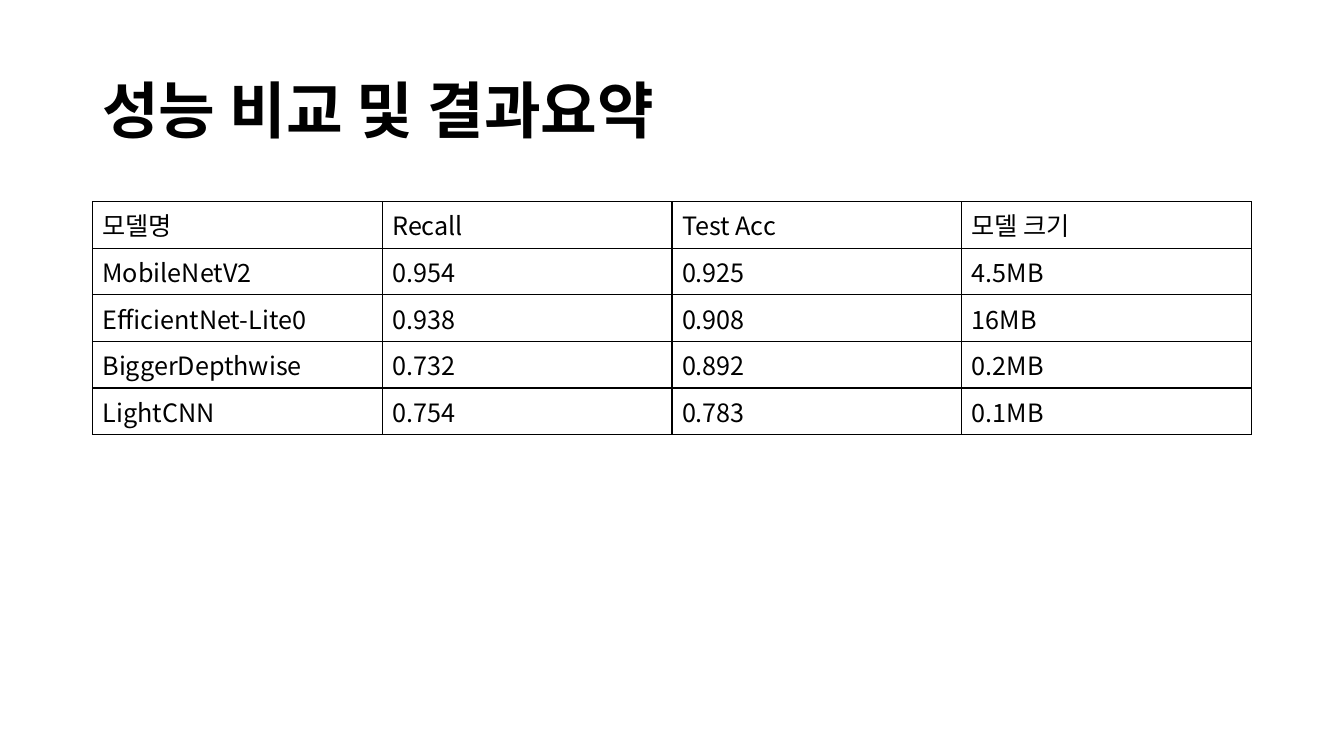
import lxml.etree
import pptx
import pptx.dml.color
import pptx.enum.text
import pptx.oxml.ns
import pptx.util

Cm = pptx.util.Cm
Pt = pptx.util.Pt
BLACK = pptx.dml.color.RGBColor(0x00, 0x00, 0x00)
FONT = "Noto Sans CJK KR"
MIDDLE = pptx.enum.text.MSO_ANCHOR.MIDDLE

TITLE_FORMAT = {"name": FONT, "size": Pt(44), "bold": True}
CELL_FORMAT = {"name": FONT, "size": Pt(18), "bold": False}

TITLE = "성능 비교 및 결과요약"
RESULTS = [
    ["모델명", "Recall", "Test Acc", "모델 크기"],
    ["MobileNetV2", "0.954", "0.925", "4.5MB"],
    ["EfficientNet-Lite0", "0.938", "0.908", "16MB"],
    ["BiggerDepthwise", "0.732", "0.892", "0.2MB"],
    ["LightCNN", "0.754", "0.783", "0.1MB"],
]


def add_xml(parent, tag, **attributes):
    return lxml.etree.SubElement(parent, pptx.oxml.ns.qn(tag), attributes)


def write(para, text, font_format):
    span = para.add_run()
    span.text = text
    for name, value in font_format.items():
        setattr(span.font, name, value)
    span.font.color.rgb = BLACK


def add_title(page, left, top, width, height):
    box = page.shapes.add_textbox(left, top, width, height)
    box.text_frame.word_wrap = True
    box.text_frame.vertical_anchor = MIDDLE
    para = box.text_frame.paragraphs[0]
    para.line_spacing = 0.9
    write(para, TITLE, TITLE_FORMAT)


def add_borders(cell):
    properties = cell._tc.get_or_add_tcPr()
    for side in "LRTB":
        line = add_xml(properties, f"a:ln{side}", w=str(Pt(1)))
        fill = add_xml(line, "a:solidFill")
        add_xml(fill, "a:srgbClr", val=str(BLACK))


def add_results_table(page, left, top, width, height):
    frame = page.shapes.add_table(
        len(RESULTS), len(RESULTS[0]), left, top, width, height
    )
    table = frame.table
    table.first_row = False
    table.horz_banding = False
    for row, texts in enumerate(RESULTS):
        for column, text in enumerate(texts):
            cell = table.cell(row, column)
            cell.vertical_anchor = MIDDLE
            add_borders(cell)
            cell.fill.background()
            write(cell.text_frame.paragraphs[0], text, CELL_FORMAT)


def main():
    deck = pptx.Presentation()
    deck.slide_width = Cm(33.87)
    deck.slide_height = Cm(19.05)
    page = deck.slides.add_slide(deck.slide_layouts[6])
    left, width = Cm(2.33), Cm(29.21)
    add_title(page, left, Cm(1.01), width, Cm(3.68))
    add_results_table(page, left, Cm(5.08), width, Cm(5.87))
    deck.save("out.pptx")


if __name__ == "__main__":
    main()
